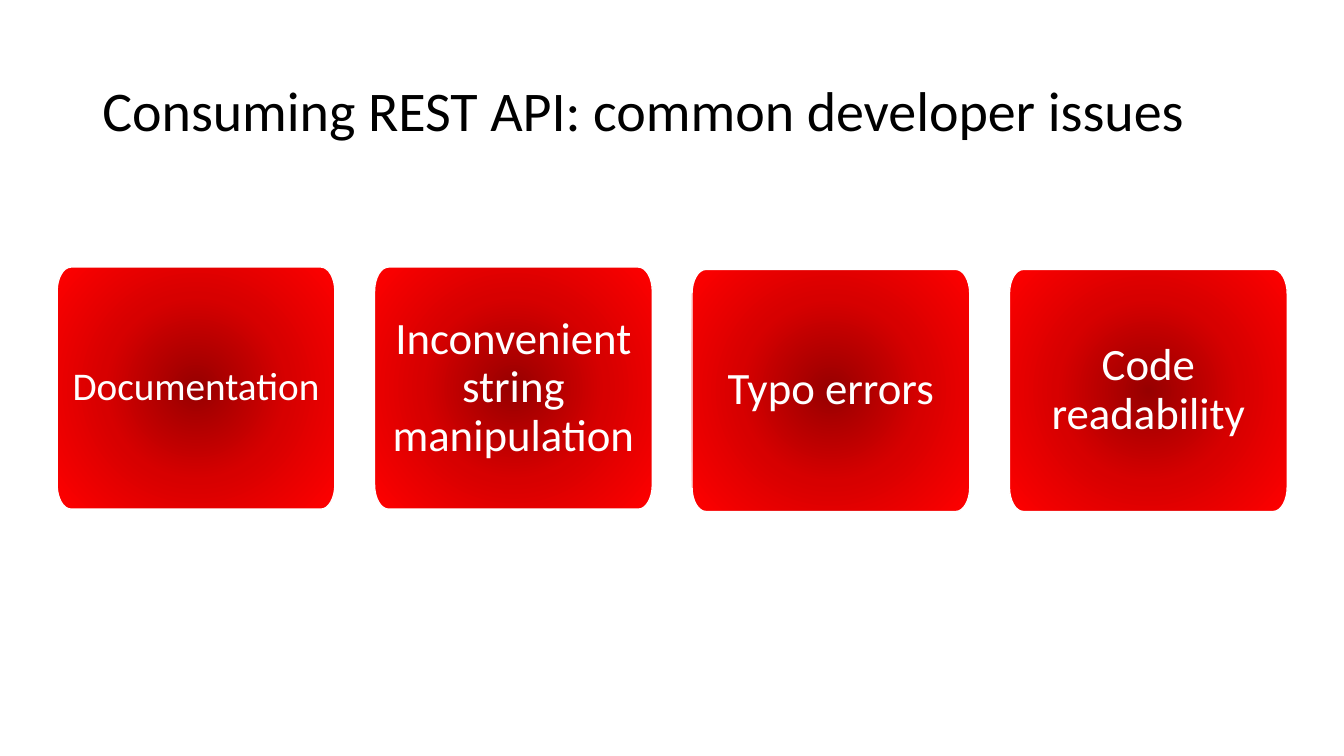
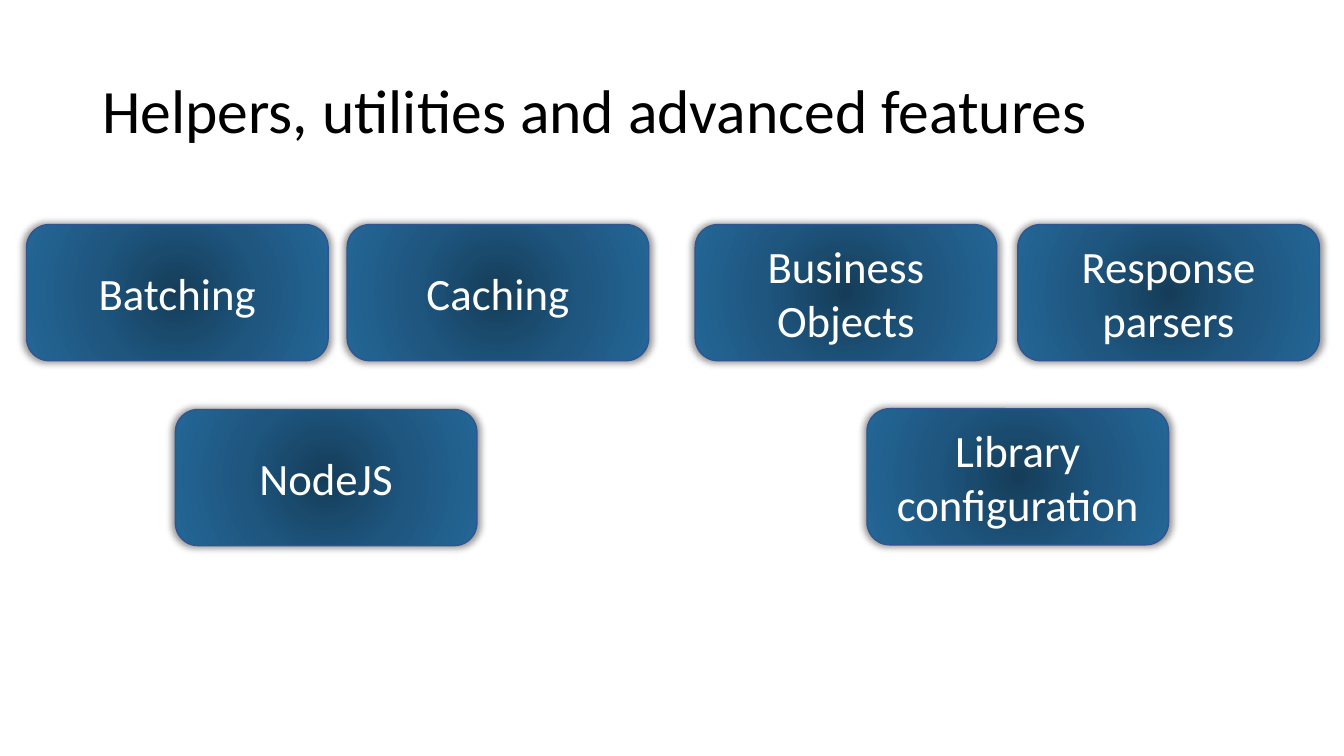
from dataclasses import dataclass

from pptx import Presentation
from pptx.dml.color import RGBColor
from pptx.enum.shapes import MSO_SHAPE as Preset
from pptx.enum.text import MSO_ANCHOR as Anchor, MSO_AUTO_SIZE as AutoSize, PP_ALIGN as Align
from pptx.oxml import parse_xml
from pptx.oxml.ns import nsdecls, qn
from pptx.util import Cm, Pt


@dataclass(frozen=True)
class Theme:
    font: str = "Calibri"
    ink: str = "000000"
    light: str = "FFFFFF"
    issue_glow: tuple = ("970000", "D70000", "FF0000")
    feature_glow: tuple = ("153D59", "1E567F", "246696")
    feature_edge: str = "325491"
    title_size: int = 44
    long_title_size: int = 40
    label_size: int = 32
    long_label_size: int = 28


THEME = Theme()
TITLE_ONLY = 5
ARC = 0.55  # share of the way to the corner at which a curve's handle lies


def write(shape, text, *, size, color, align=Align.CENTER, spacing=1.0, inset=(0.25, 0.13)):
    frame = shape.text_frame
    frame.word_wrap = True
    frame.auto_size = AutoSize.NONE
    frame.vertical_anchor = Anchor.MIDDLE
    frame.margin_left = frame.margin_right = Cm(inset[0])
    frame.margin_top = frame.margin_bottom = Cm(inset[1])
    frame.text = text
    paragraph = frame.paragraphs[0]
    paragraph.alignment = align
    paragraph.line_spacing = spacing
    font = paragraph.runs[0].font
    font.name = THEME.font
    font.size = Pt(size)
    font.bold = False
    font.color.rgb = RGBColor.from_string(color)


def paint(shape, glow, edge):
    """Fill from the centre outwards with the glow colours and draw a thin edge."""
    shape.fill.gradient()
    linear = shape._element.spPr.find(qn("a:gradFill"))
    stops = "".join(
        f'<a:gs pos="{i * 50000}"><a:srgbClr val="{color}"/></a:gs>'
        for i, color in enumerate(glow)
    )
    radial = parse_xml(
        f'<a:gradFill {nsdecls("a")}><a:gsLst>{stops}</a:gsLst>'
        '<a:path path="circle"><a:fillToRect l="50000" t="50000" r="50000" b="50000"/>'
        "</a:path><a:tileRect/></a:gradFill>"
    )
    linear.getparent().replace(linear, radial)
    shape.line.color.rgb = RGBColor.from_string(edge)
    shape.line.width = Pt(1)
    shape.shadow.inherit = False


def add_halo(shape):
    """Surround the shape with a soft, centred shadow."""
    shape._element.spPr.find(qn("a:effectLst")).append(parse_xml(
        f'<a:outerShdw {nsdecls("a")} blurRad="{Pt(5)}" sx="102000" sy="102000" algn="ctr" '
        'rotWithShape="0"><a:srgbClr val="000000"><a:alpha val="40000"/></a:srgbClr>'
        "</a:outerShdw>"
    ))


def round_corners(card, outline, corners):
    """Turn every other side of the outline, from the first, into a curve."""
    cuts = list(card._element.iter(qn("a:lnTo")))[::2]
    for cut, start, end, corner in zip(cuts, outline[::2], outline[1::2], corners):
        handles = [
            [p + ARC * (c - p) for p, c in zip(point, corner)] for point in (start, end)
        ]
        points = "".join(
            f'<a:pt x="{int(x - card.left)}" y="{int(y - card.top)}"/>'
            for x, y in (*handles, end)
        )
        curve = parse_xml(f'<a:cubicBezTo {nsdecls("a")}>{points}</a:cubicBezTo>')
        cut.getparent().replace(cut, curve)


class Deck:
    def __init__(self):
        self.presentation = Presentation()
        self.presentation.slide_width = Cm(33.87)
        self.presentation.slide_height = Cm(19.05)
        self.slide = None

    def add_slide(self, title, size=THEME.title_size):
        layout = self.presentation.slide_layouts[TITLE_ONLY]
        self.slide = self.presentation.slides.add_slide(layout)
        heading = self.slide.shapes.title
        heading.left, heading.top = Cm(2.33), Cm(1.01)
        heading.width, heading.height = Cm(29.21), Cm(3.68)
        write(heading, title, size=size, color=THEME.ink, align=Align.LEFT, spacing=0.9)

    def add_issue(self, label, left, top, size=THEME.label_size):
        x1, y1, x2, y2 = Cm(left), Cm(top), Cm(left + 7), Cm(top + 6.1)
        rx, ry = Cm(0.35), Cm(0.61)
        corners = ((x1, y1), (x2, y1), (x2, y2), (x1, y2))
        outline = (
            (x1, y1 + ry), (x1 + rx, y1), (x2 - rx, y1), (x2, y1 + ry),
            (x2, y2 - ry), (x2 - rx, y2), (x1 + rx, y2), (x1, y2 - ry),
        )
        builder = self.slide.shapes.build_freeform(*outline[0])
        builder.add_line_segments(outline[1:], close=True)
        card = builder.convert_to_shape()
        round_corners(card, outline, corners)
        paint(card, THEME.issue_glow, THEME.light)
        write(card, label, size=size, color=THEME.light, spacing=0.9, inset=(0.23, 0.18))

    def add_feature(self, label, left, top):
        card = self.slide.shapes.add_shape(
            Preset.ROUNDED_RECTANGLE, Cm(left), Cm(top), Cm(7.6), Cm(3.43))
        paint(card, THEME.feature_glow, THEME.feature_edge)
        add_halo(card)
        write(card, label, size=THEME.label_size, color=THEME.light)

    def save(self):
        self.presentation.save("out.pptx")


def add_issues_slide(deck):
    deck.add_slide("Consuming REST API: common developer issues", THEME.long_title_size)
    issues = (
        ("Documentation", 6.73, THEME.long_label_size),
        ("Inconvenient string manipulation", 6.73, THEME.label_size),
        ("Typo errors", 6.79, THEME.label_size),
        ("Code readability", 6.79, THEME.label_size),
    )
    for column, (label, top, size) in enumerate(issues):
        deck.add_issue(label, 1.44 + 8 * column, top, size)


def add_features_slide(deck):
    deck.add_slide("Helpers, utilities and advanced features")
    upper_row = 5.66
    features = (
        ("Library configuration", 21.85, 10.3),
        ("Response parsers", 25.65, upper_row),
        ("Batching", 0.67, upper_row),
        ("Caching", 8.75, upper_row),
        ("Business Objects", 17.52, upper_row),
        ("NodeJS", 4.42, 10.32),
    )
    for label, left, top in features:
        deck.add_feature(label, left, top)


def main():
    deck = Deck()
    add_issues_slide(deck)
    add_features_slide(deck)
    deck.save()


if __name__ == "__main__":
    main()
